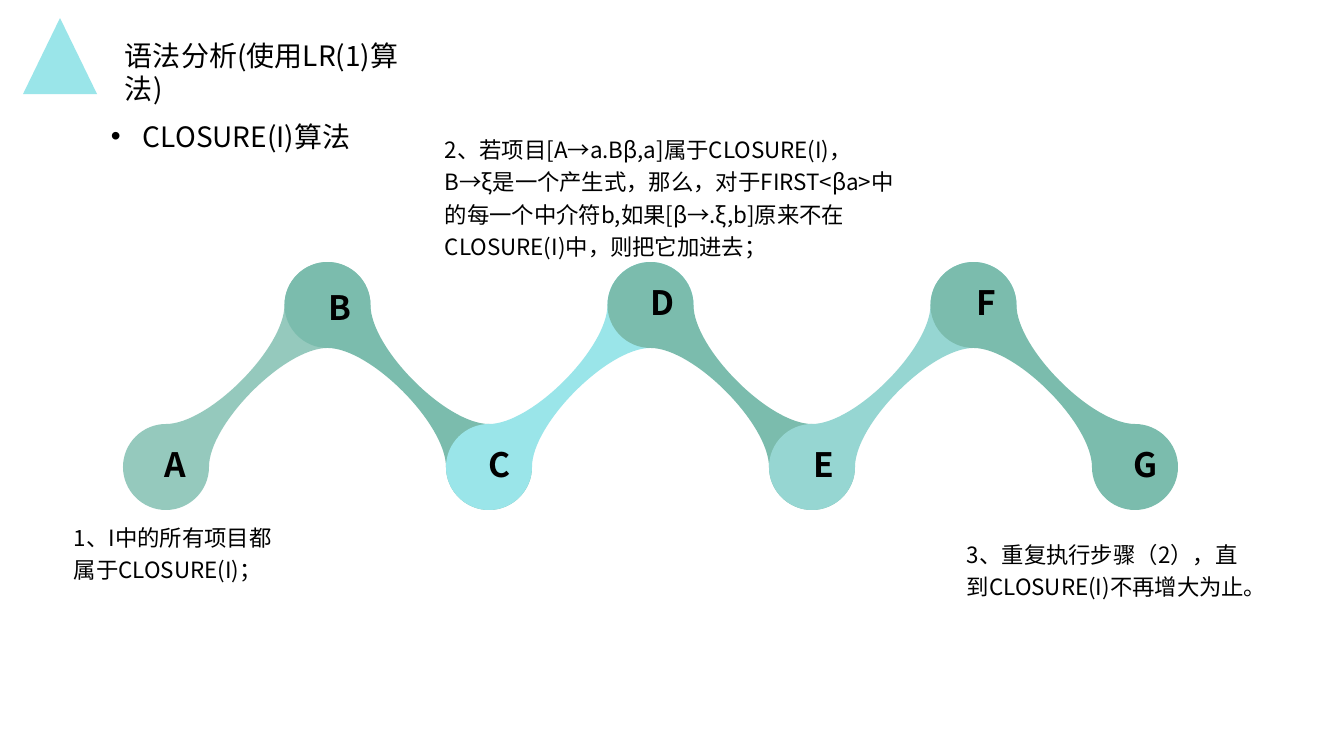
from lxml.etree import SubElement
from pptx import Presentation
from pptx.dml.color import RGBColor
from pptx.enum.shapes import MSO_SHAPE as Preset
from pptx.enum.text import MSO_ANCHOR as Anchor, MSO_AUTO_SIZE as AutoSize, PP_ALIGN as Align
from pptx.oxml.ns import qn
from pptx.util import Pt

EMU_PER_PIXEL = 914400 / 100.8
FONT = "Noto Sans CJK SC"
BLACK, GREEN, CYAN, TEAL = "000000", "7BBCAD", "9AE5E9", "96D6D2"
RADIUS = 43
ROUNDNESS = 0.55
LINKS = [(GREEN, 80, "A"), (GREEN, 100, "B"), (CYAN, 100, "C"),
         (GREEN, 100, "D"), (TEAL, 100, "E"), (GREEN, 100, "FG")]
LETTER_BOXES = {"A": (-12, -33, 46), "B": (-9, -28, 44), "C": (-11, -33, 44),
                "D": (-10, -33, 48), "E": (-8, -33, 40), "F": (-7, -33, 40), "G": (-11, -33, 47)}
STEPS = [
    ((445, 131, 454, 130), "2、若项目[A→a.Bβ,a]属于CLOSURE(I)，B→ξ是一个产生式，那么，对于FIRST<βa>"
                           "中的每一个中介符b,如果[β→.ξ,b]原来不在CLOSURE(I)中，则把它加进去；"),
    ((967, 536, 286, 66), "3、重复执行步骤（2），直到CLOSURE(I)不再增大为止。"),
    ((74, 519, 212, 66), "1、I中的所有项目都属于CLOSURE(I)；"),
]


def emu(pixels):
    return round(pixels * EMU_PER_PIXEL)


def paint(shape, color, opacity=100):
    shape.shadow.inherit = False
    shape.fill.solid()
    shape.fill.fore_color.rgb = RGBColor.from_string(color)
    shape.line.fill.background()
    if opacity < 100:
        tint = shape.fill._xPr.find(".//" + qn("a:srgbClr"))
        SubElement(tint, qn("a:alpha"), val=str(opacity * 1000))


def add_text(shapes, box, text, size, bold=False, insets=(10, 5), wrap=True):
    text_box = shapes.add_textbox(*map(emu, box))
    frame = text_box.text_frame
    frame.word_wrap = wrap
    frame.auto_size = AutoSize.SHAPE_TO_FIT_TEXT
    frame.margin_left = frame.margin_right = emu(insets[0])
    frame.margin_top = frame.margin_bottom = emu(insets[1])
    para = frame.paragraphs[0]
    para.text = text
    para.alignment = Align.LEFT
    para.font.size = Pt(size)
    para.font.bold = bold
    para.font.color.rgb = RGBColor.from_string(BLACK)
    para.font.name = FONT
    SubElement(para._p.pPr.find(qn("a:defRPr")), qn("a:ea"), typeface=FONT)
    return frame


def add_bullet(para, indent):
    properties = para._p.get_or_add_pPr()
    properties.set("marL", str(emu(indent)))
    properties.set("indent", str(-emu(indent)))
    text_style = properties.find(qn("a:defRPr"))
    text_style.addprevious(SubElement(properties, qn("a:buFont"), typeface="Arial"))
    text_style.addprevious(SubElement(properties, qn("a:buChar"), char="•"))


def ball_arc(center, across, along):
    x, y = center
    spokes = [(0, 1), (1, 0), (0, -1), (-1, 0)]

    def place(u, v):
        return x + across * u, y + along * v

    return [(place(a + ROUNDNESS * c, b + ROUNDNESS * d),
             place(c + ROUNDNESS * a, d + ROUNDNESS * b), place(c, d))
            for (a, b), (c, d) in zip(spokes, spokes[1:])]


def add_curved_shape(shapes, start, curves):
    builder = shapes.build_freeform(*map(emu, start))
    builder.add_line_segments([tuple(map(emu, curve[-1])) for curve in curves], close=True)
    shape = builder.convert_to_shape()
    segments = list(shape._element.iter(qn("a:lnTo")))
    for segment, curve in zip(segments, curves):
        bend = SubElement(segment.getparent(), qn("a:cubicBezTo"))
        for x, y in curve:
            SubElement(bend, qn("a:pt"), x=str(emu(x) - shape.left), y=str(emu(y) - shape.top))
        segment.getparent().replace(segment, bend)
    return shape


def add_link(shapes, start, end, color, opacity):
    (x0, y0), (x1, y1) = start, end
    bend = RADIUS if y1 > y0 else -RADIUS
    near, far = (x0 + RADIUS, y0 + bend), (x1 - RADIUS, y1 - bend)
    curves = [(far, near, (x0, y0 + bend)), *ball_arc(start, -RADIUS, bend),
              (near, far, (x1, y1 - bend)), *ball_arc(end, RADIUS, -bend)]
    paint(add_curved_shape(shapes, (x1 - RADIUS, y1), curves), color, opacity)


def add_letter(shapes, center, letter):
    dx, dy, width = LETTER_BOXES[letter]
    box = (center[0] + dx, center[1] + dy, width, 61)
    frame = add_text(shapes, box, letter, 24, bold=True, insets=(10, 10), wrap=False)
    frame.vertical_anchor = Anchor.MIDDLE


def draw_chain(page, box):
    left, top, width, height = box
    gap = (width - 2 * RADIUS) / len(LINKS)
    levels = (top + height - RADIUS, top + RADIUS)
    centers = [(left + RADIUS + i * gap, levels[i % 2]) for i in range(len(LINKS) + 1)]
    for start, end, (color, opacity, letters) in zip(centers, centers[1:], LINKS):
        group = page.shapes.add_group_shape()
        add_link(group.shapes, start, end, color, opacity)
        for center, letter in zip((start, end), letters):
            add_letter(group.shapes, center, letter)


def draw_header(page, box):
    left, top, width, height = box
    triangle = page.shapes.add_shape(Preset.ISOSCELES_TRIANGLE, *map(emu, (left, top, 74, 76)))
    paint(triangle, CYAN)
    add_text(page.shapes, (left + 92, top + 15, 319, 44), "语法分析(使用LR(1)算法)", 20)
    subtitle = add_text(page.shapes, (left + 78, top + height - 44, width - 78, 44),
                        "CLOSURE(I)算法", 20)
    add_bullet(subtitle.paragraphs[0], 32)


def draw_step(page, box, text):
    para = add_text(page.shapes, box, text, 16, insets=(0, 0)).paragraphs[0]
    para.line_spacing = 1.2
    para.space_before = Pt(17)


deck = Presentation()
deck.slide_width, deck.slide_height = emu(1344), emu(756)
page = deck.slides.add_slide(deck.slide_layouts[6])
draw_chain(page, (123, 262, 1055, 248))
for step_box, step_text in STEPS:
    draw_step(page, step_box, step_text)
draw_header(page, (23, 18, 535, 140))
deck.save("out.pptx")
